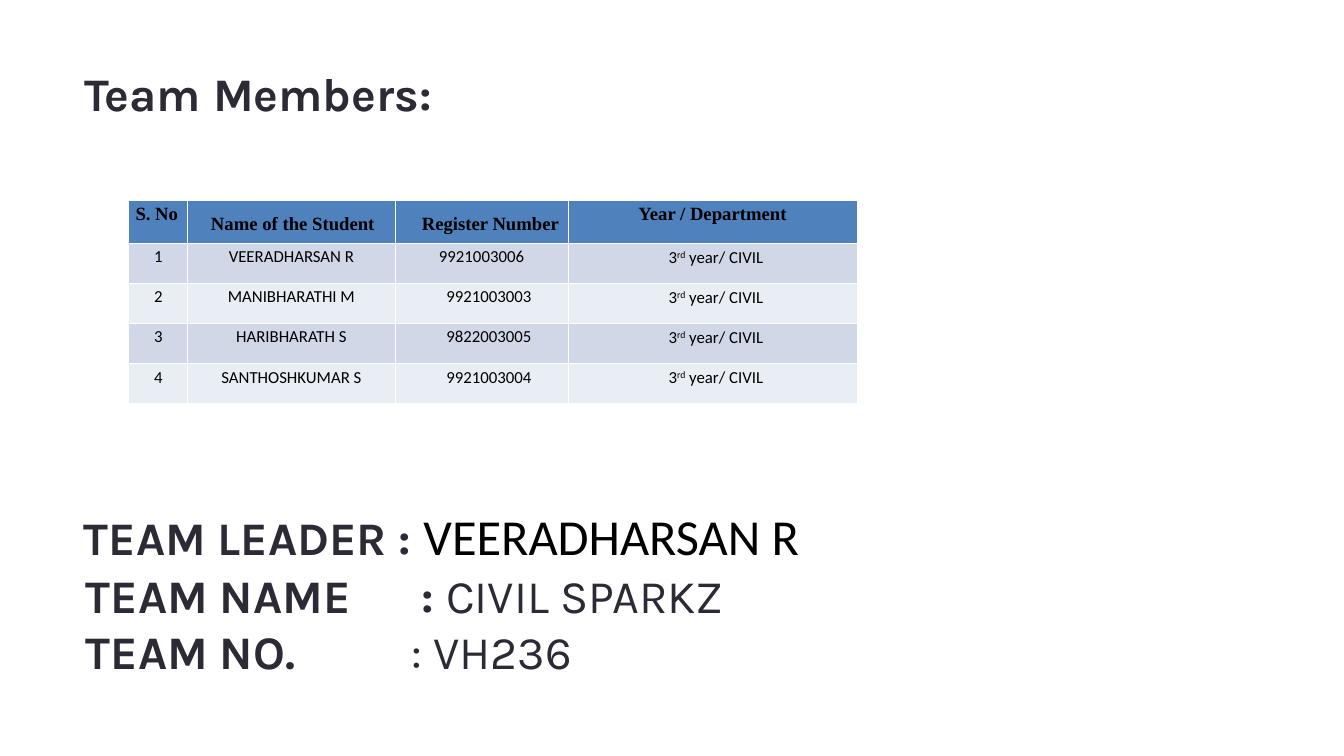
"""Build the team members slide."""
from pptx import Presentation
from pptx.dml.color import RGBColor
from pptx.enum.text import MSO_ANCHOR, MSO_AUTO_SIZE, PP_ALIGN
from pptx.oxml.ns import qn
from pptx.util import Pt

LEFT, CENTER = PP_ALIGN.LEFT, PP_ALIGN.CENTER
TOP, MIDDLE = MSO_ANCHOR.TOP, MSO_ANCHOR.MIDDLE
FIXED = MSO_AUTO_SIZE.NONE
TITLE_ONLY = 5

COLORS = {
    "ink": "2B2A35",
    "black": "000000",
    "header": "4F81BD",
    "odd": "D0D8E8",
    "even": "E9EDF4",
}
HEADINGS = ["S. No", "Name of the Student", "Register Number", "Year / Department"]
MEMBERS = [
    ("VEERADHARSAN R", "9921003006", 0),
    ("MANIBHARATHI M", "9921003003", 16),
    ("HARIBHARATH S", "9822003005", 16),
    ("SANTHOSHKUMAR S", "9921003004", 16),
]
COLUMN_WIDTHS = [63.25, 222, 185.5, 309.5]
HEADER_HEIGHT, MEMBER_HEIGHT = 46, 43


def add_text(paragraph, text, size=50, font="Karla", color="ink", bold=False, raised=False):
    """Append one formatted run to a paragraph."""
    run = paragraph.add_run()
    run.text = text
    run.font.size = Pt(size)
    run.font.name = font
    run.font.bold = bold
    run.font.color.rgb = RGBColor.from_string(COLORS[color])
    if raised:
        run.font._element.set("baseline", "30000")


def set_frame(frame):
    """Make a text frame wrap from its top left corner without margins."""
    frame.word_wrap = True
    frame.auto_size = FIXED
    frame.vertical_anchor = TOP
    frame.margin_left = frame.margin_top = frame.margin_right = frame.margin_bottom = 0
    return frame


def set_tab(paragraph, position):
    """Give a paragraph one left tab stop."""
    tabs = paragraph._p.get_or_add_pPr().makeelement(qn("a:tabLst"), {})
    tab = tabs.makeelement(qn("a:tab"), {"pos": str(int(Pt(position))), "algn": "l"})
    tabs.append(tab)
    paragraph._p.get_or_add_pPr().append(tabs)


def add_title(slide, text):
    """Place and fill the title placeholder."""
    title = slide.shapes.title
    title.left, title.top, title.width, title.height = Pt(90), Pt(69), Pt(840), Pt(364)
    paragraph = set_frame(title.text_frame).paragraphs[0]
    paragraph.alignment = LEFT
    add_text(paragraph, text, bold=True)


def add_box(slide, left, top, width, height):
    """Add an empty text box and return its frame."""
    box = slide.shapes.add_textbox(Pt(left), Pt(top), Pt(width), Pt(height))
    return set_frame(box.text_frame)


def fill_cell(cell, fill, parts, align=CENTER, indent=0, spaced=False, anchor=TOP, **style):
    """Fill a table cell with runs given as (text, raised) pairs."""
    cell.fill.solid()
    cell.fill.fore_color.rgb = RGBColor.from_string(COLORS[fill])
    cell.vertical_anchor = anchor
    paragraph = cell.text_frame.paragraphs[0]
    paragraph.alignment = align
    if indent:
        paragraph._p.get_or_add_pPr().set("marL", str(int(Pt(indent))))
    if spaced:
        cell.margin_left, cell.margin_top = Pt(5), Pt(3)
        cell.margin_right, cell.margin_bottom = Pt(2), 0
        paragraph.line_spacing = 1.07
        paragraph.space_after = Pt(8)
    for text, raised in parts:
        add_text(paragraph, text, color="black", raised=raised, **style)


def add_members(slide):
    """Add the table of team members."""
    height = HEADER_HEIGHT + MEMBER_HEIGHT * len(MEMBERS)
    table = slide.shapes.add_table(
        len(MEMBERS) + 1, len(HEADINGS), Pt(138), Pt(214.75), Pt(sum(COLUMN_WIDTHS)), Pt(height)
    ).table
    for column, width in zip(table.columns, COLUMN_WIDTHS):
        column.width = Pt(width)
    for index, row in enumerate(table.rows):
        row.height = Pt(MEMBER_HEIGHT if index else HEADER_HEIGHT)
    for index, heading in enumerate(HEADINGS):
        inner = index in (1, 2)
        fill_cell(table.cell(0, index), "header", [(heading, False)],
                  align=CENTER if index else LEFT, indent=16 if index == 2 else 0,
                  spaced=inner, anchor=MIDDLE if inner else TOP,
                  size=20, font="Times New Roman", bold=True)
    body = {"size": 18, "font": "Calibri"}
    year = [("3", False), ("rd", True), (" year/ CIVIL", False)]
    for number, (name, register, indent) in enumerate(MEMBERS, 1):
        fill = "odd" if number % 2 else "even"
        fill_cell(table.cell(number, 0), fill, [(str(number), False)], **body)
        fill_cell(table.cell(number, 1), fill, [(name, False)], **body)
        fill_cell(table.cell(number, 2), fill, [(register, False)], indent=indent, **body)
        fill_cell(table.cell(number, 3), fill, year, indent=4, spaced=True, **body)


def add_team(slide):
    """Add the team name and number, then the leader."""
    team = add_box(slide, 92, 607, 840, 121)
    name = team.paragraphs[0]
    set_tab(name, 360)
    add_text(name, "TEAM NAME\t: ", bold=True)
    add_text(name, "CIVIL SPARKZ")
    number = team.add_paragraph()
    set_tab(number, 349)
    add_text(number, "TEAM NO.", bold=True)
    add_text(number, "\t: VH236")

    leader = add_box(slide, 90, 541.5, 1038, 126).paragraphs[0]
    add_text(leader, "TEAM LEADER : ", bold=True)
    add_text(leader, "VEERADHARSAN R", size=54, font="Calibri", color="black")


def main():
    """Build and save the slide."""
    deck = Presentation()
    deck.slide_width, deck.slide_height = Pt(1440), Pt(810)
    slide = deck.slides.add_slide(deck.slide_layouts[TITLE_ONLY])
    add_title(slide, "Team Members:")
    add_team(slide)
    add_members(slide)
    deck.save("out.pptx")


if __name__ == "__main__":
    main()
